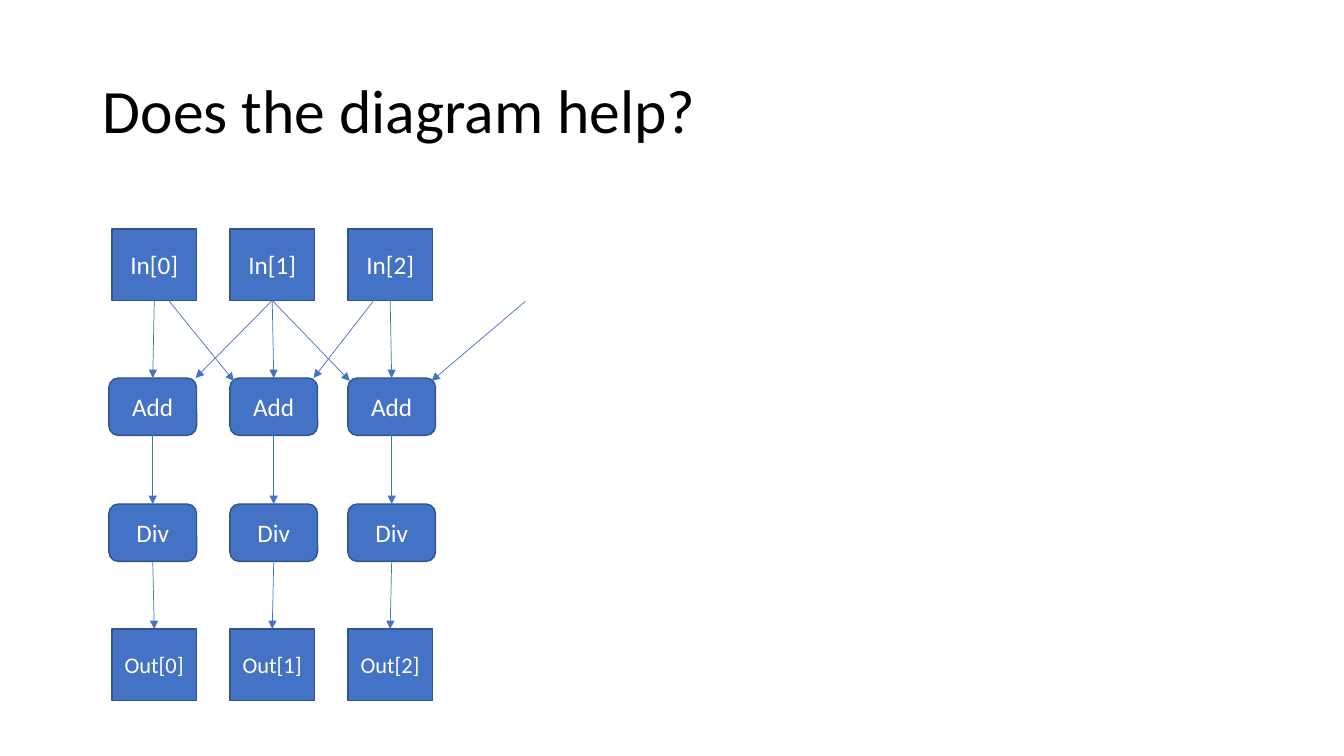
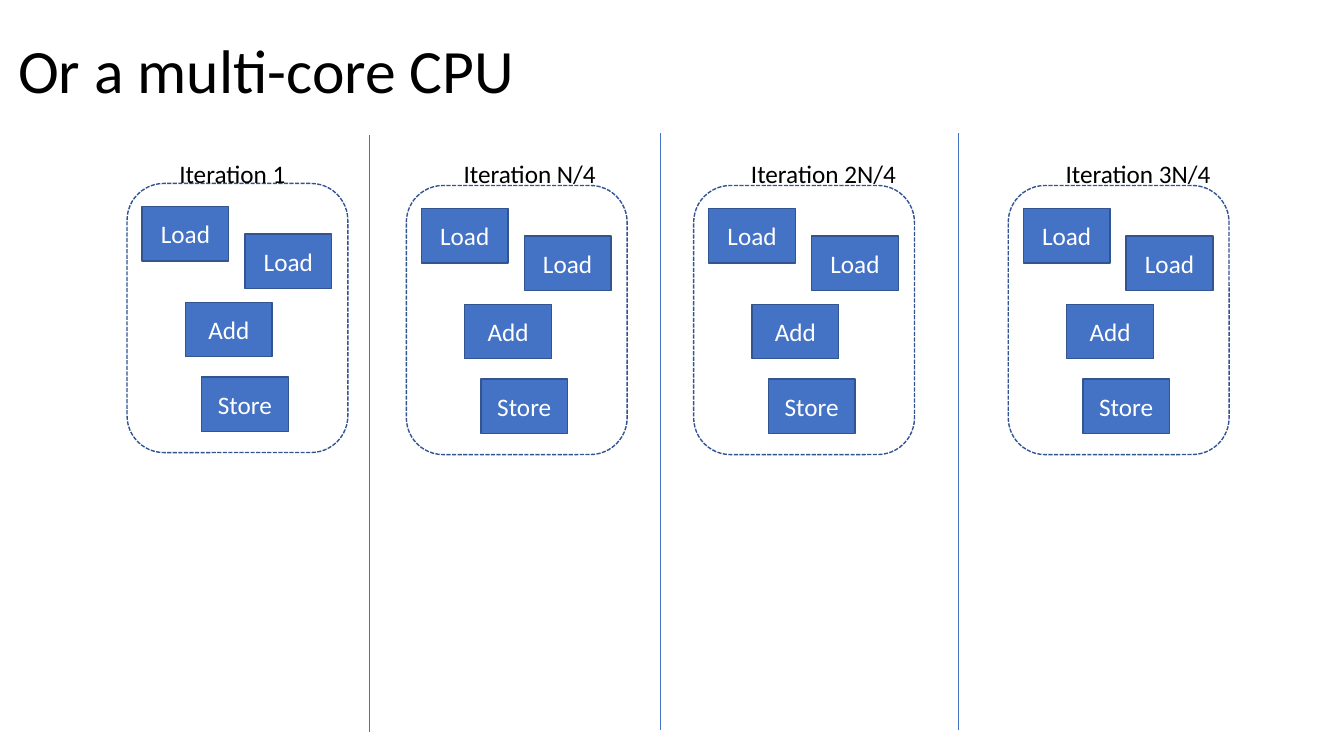
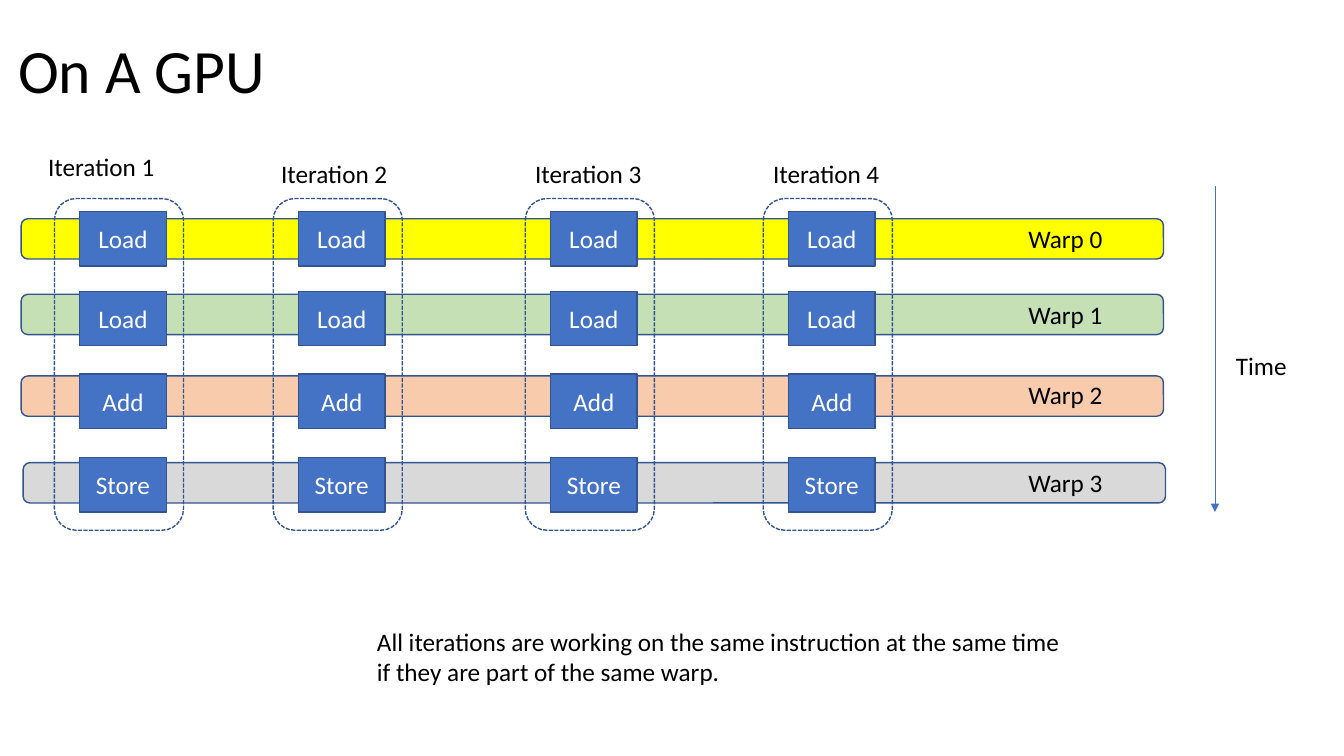
from lxml.etree import SubElement
from pptx import Presentation
from pptx.dml.color import RGBColor
from pptx.enum.dml import MSO_LINE as Dash
from pptx.enum.shapes import MSO_CONNECTOR as Wire, MSO_SHAPE as Form
from pptx.enum.text import MSO_ANCHOR as Anchor, MSO_AUTO_SIZE as Fit, PP_ALIGN as Align
from pptx.oxml.ns import qn
from pptx.util import Inches, Pt

FONT = "Calibri"
BLUE, EDGE = "4472C4", "325491"
WHITE, BLACK = "FFFFFF", "000000"
BOTTOM, TOP = 2, 0
rgb = RGBColor.from_string


def put(slide, text, x, y, w, h=0.4, form=None, fill=None, dash=None, size=18, color=WHITE):
    """Draw a preset shape, or a plain black label when no form is given."""
    place = [Inches(n) for n in (x, y, w, h)]
    if form is None:
        item = slide.shapes.add_textbox(*place)
        item.text_frame.word_wrap = False
        item.text_frame.auto_size = Fit.SHAPE_TO_FIT_TEXT
        color = BLACK
    else:
        item = slide.shapes.add_shape(form, *place)
        item.shadow.inherit = False
        item.line.color.rgb = rgb(EDGE)
        item.line.width = Pt(1)
        if dash:
            item.line.dash_style = dash
        if fill:
            item.fill.solid()
            item.fill.fore_color.rgb = rgb(fill)
        else:
            item.fill.background()
        item.text_frame.vertical_anchor = Anchor.MIDDLE
    para = item.text_frame.paragraphs[0]
    para.text = text
    para.alignment = Align.CENTER if form else Align.LEFT
    for run in para.runs:
        run.font.name = FONT
        run.font.size = Pt(size)
        run.font.color.rgb = rgb(color)
    return item


def link(slide, start, end, arrow=True):
    """Draw a line; each end is an (x, y) point or a (shape, side) pair."""
    wire = slide.shapes.add_connector(Wire.STRAIGHT, 0, 0, 0, 0)
    if isinstance(start[0], float):
        wire.begin_x, wire.begin_y = map(Inches, start)
    else:
        wire.begin_connect(*start)
    if isinstance(end[0], float):
        wire.end_x, wire.end_y = map(Inches, end)
    else:
        wire.end_connect(*end)
    wire.line.color.rgb = rgb(BLUE)
    wire.line.width = Pt(0.5)
    props = wire._element.spPr
    if arrow:
        SubElement(props.find(qn("a:ln")), qn("a:tailEnd"), type="triangle")
    SubElement(props, qn("a:effectLst"))


deck = Presentation()
deck.slide_width, deck.slide_height = Inches(13.33), Inches(7.5)

# Slides and titles
slides = []
for name, x, y in [
    ("Does the diagram help?", 0.92, 0.4),
    ("Or a multi-core CPU", 0.08, 0),
    ("On A GPU", 0.08, 0),
]:
    slide = deck.slides.add_slide(deck.slide_layouts[5])
    title = slide.shapes.title
    title.left, title.top = Inches(x), Inches(y)
    title.width, title.height = Inches(11.5), Inches(1.45)
    title.text_frame.text = name
    title.text_frame.vertical_anchor = Anchor.MIDDLE
    para = title.text_frame.paragraphs[0]
    para.alignment = Align.LEFT
    para.line_spacing = 0.9
    para.font.name = FONT
    para.font.size = Pt(44)
    para.font.color.rgb = rgb(BLACK)
    slides.append(slide)
flow, cpu, gpu = slides

# Data flow: one chain of four boxes per column
inputs = []
for i, x in enumerate([1.08, 2.28, 3.45]):
    side = 1.11 + 1.17 * i
    chain = [
        put(flow, f"In[{i}]", side, 2.27, 0.84, 0.71, form=Form.RECTANGLE, fill=BLUE),
        put(flow, "Add", x, 3.75, 0.87, 0.57, form=Form.ROUNDED_RECTANGLE, fill=BLUE),
        put(flow, "Div", x, 5, 0.87, 0.57, form=Form.ROUNDED_RECTANGLE, fill=BLUE),
        put(flow, f"Out[{i}]", side, 6.24, 0.84, 0.71, form=Form.RECTANGLE, fill=BLUE, size=16),
    ]
    for upper, lower in zip(chain, chain[1:]):
        link(flow, (upper, BOTTOM), (lower, TOP))
    inputs.append(chain[0])

for start, end in [
    ((1.68, 2.99), (2.32, 3.78)),
    ((inputs[1], BOTTOM), (1.94, 3.75)),
    ((inputs[1], BOTTOM), (3.47, 3.78)),
    ((3.7, 2.99), (3.11, 3.75)),
    ((5.21, 2.99), (4.28, 3.78)),
]:
    link(flow, start, end)

# Multi-core CPU: one scattered set of steps per core
steps = [("Load", 1.17, 0.5), ("Load", 0.15, 0.23), ("Add", 0.58, 1.18), ("Store", 0.74, 1.92)]
for name, x, y, left, wide in [
    ("1", 1.26, 1.82, 1.68, 1.27),
    ("N/4", 4.03, 1.84, 4.5, 1.53),
    ("2N/4", 6.88, 1.84, 7.35, 1.66),
    ("3N/4", 10, 1.84, 10.47, 1.66),
]:
    put(cpu, "", x, y, 2.19, 2.67, form=Form.ROUNDED_RECTANGLE, dash=Dash.SQUARE_DOT)
    for step, dx, dy in steps:
        put(cpu, step, x + dx, y + dy, 0.86, 0.54, form=Form.RECTANGLE, fill=BLUE)
    put(cpu, f"Iteration {name}", left, 1.52, wide)

for x, y in [(3.66, 1.34), (6.55, 1.32), (9.51, 1.32)]:
    link(cpu, (x, y), (x, y + 5.92), arrow=False)

# GPU: warps run across, iterations run down
for i, (x, y, fill, top) in enumerate([
    (0.21, 2.17, "FFFF00", 2.17),
    (0.21, 2.92, "C5E0B4", 2.92),
    (0.21, 3.73, "F8CBAD", 3.71),
    (0.23, 4.59, "D9D9D9", 4.59),
]):
    put(gpu, "", x, y, 11.33, form=Form.ROUNDED_RECTANGLE, fill=fill)
    put(gpu, f"Warp {i}", 10.1, top, 0.95)

rows = [("Load", 2.1), ("Load", 2.89), ("Add", 3.71), ("Store", 4.54)]
for i, (x, left, top) in enumerate([
    (0.54, 0.38, 1.45),
    (2.71, 2.69, 1.52),
    (5.21, 5.21, 1.52),
    (7.57, 7.57, 1.52),
], start=1):
    put(gpu, "", x, 1.97, 1.28, 3.29, form=Form.ROUNDED_RECTANGLE, dash=Dash.SQUARE_DOT)
    for step, y in rows:
        put(gpu, step, x + 0.25, y, 0.86, 0.54, form=Form.RECTANGLE, fill=BLUE)
    put(gpu, f"Iteration {i}", left, top, 1.27)

link(gpu, (12.05, 1.85), (12.05, 5.08))
put(gpu, "Time", 12.16, 3.43, 0.71)
put(
    gpu,
    "All iterations are working on the same instruction at the same time\n"
    "if they are part of the same warp.",
    3.64, 6.16, 7.05, 0.71,
)

deck.save("out.pptx")
